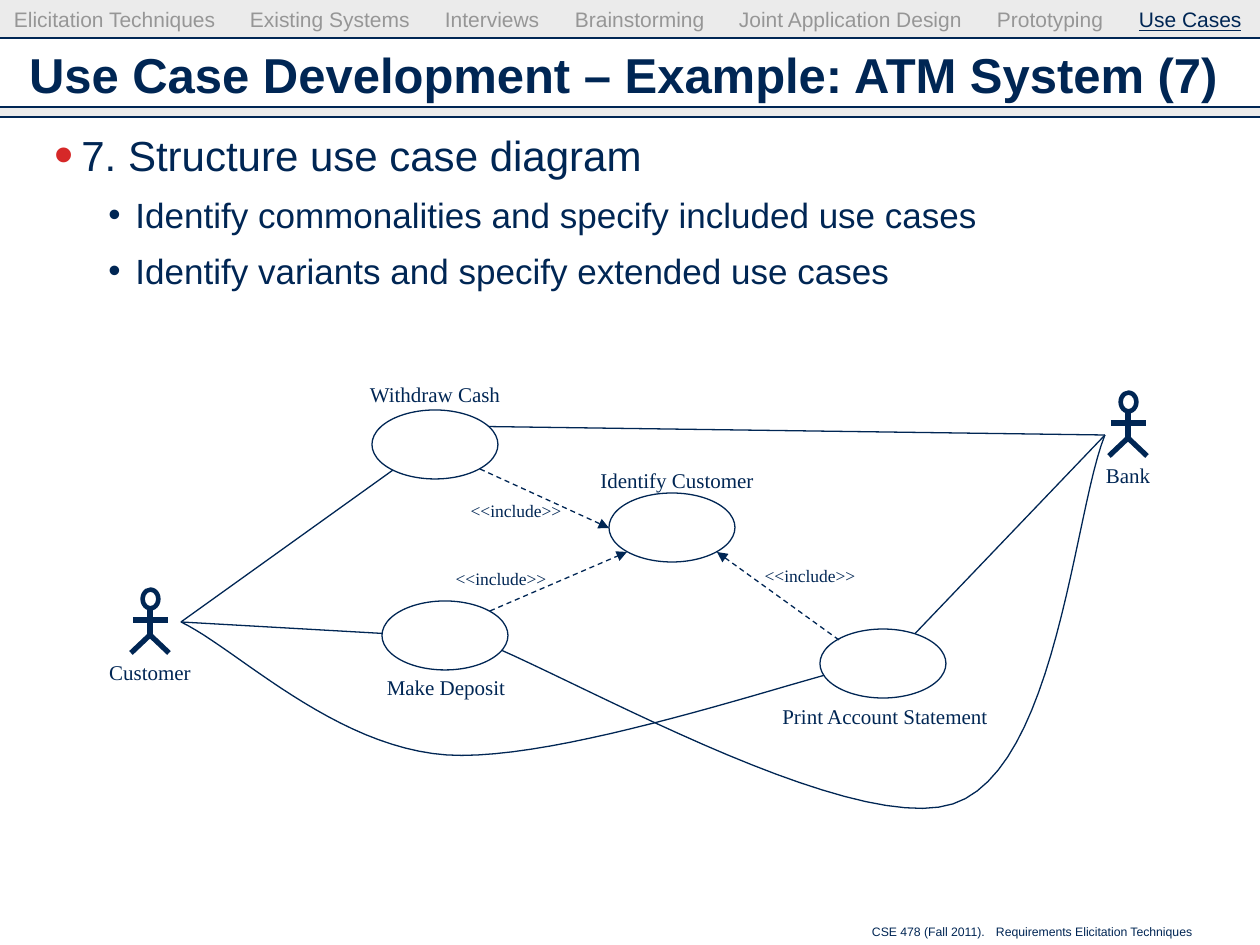
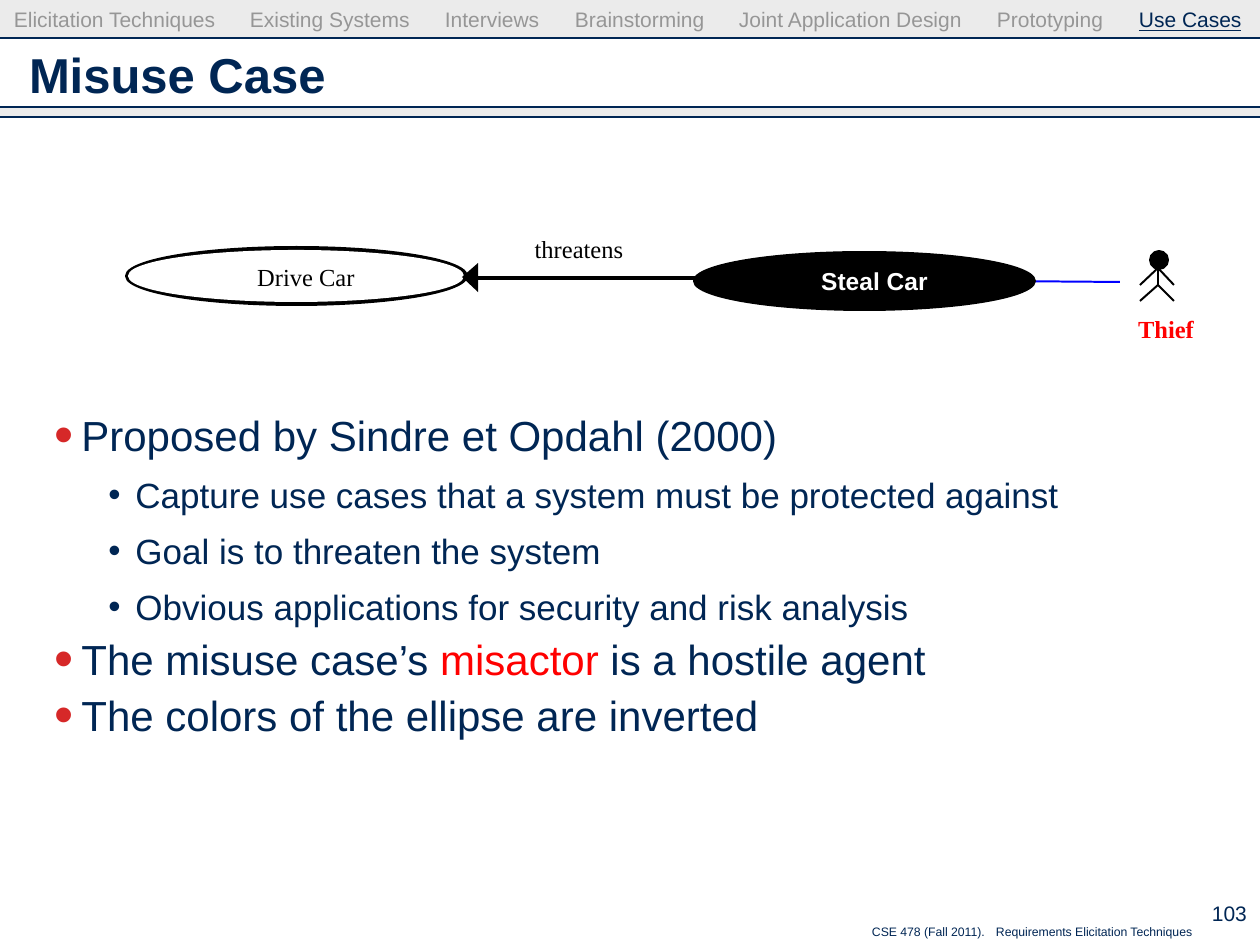
"""Build two lecture slides on use case diagrams and misuse cases."""
from dataclasses import dataclass
from typing import Any, NamedTuple

import lxml.etree
import pptx
import pptx.dml.color
import pptx.enum.dml
import pptx.enum.shapes
import pptx.enum.text
import pptx.oxml.ns
import pptx.util

PX = 914400 / 126
COLOURS = {"navy": "002654", "band": "CDCDCD", "grey": "969696", "bullet": "D62828",
           "red": "FF0000", "black": "000000", "white": "FFFFFF", "blue": "0000FF"}
SHAPES = pptx.enum.shapes.MSO_SHAPE
ALIGN = pptx.enum.text.PP_ALIGN
ANCHOR = pptx.enum.text.MSO_ANCHOR
FONTS = {
    "title": {"name": "Arial", "size": pptx.util.Pt(28), "bold": True},
    "point": {"name": "Arial", "size": pptx.util.Pt(24)},
    "subpoint": {"name": "Arial", "size": pptx.util.Pt(20)},
    "nav": {"name": "Arial", "size": pptx.util.Pt(12)},
    "current": {"name": "Arial", "size": pptx.util.Pt(12), "underline": True},
    "footer": {"name": "Arial", "size": pptx.util.Pt(7)},
    "diagram": {"name": "Times New Roman", "size": pptx.util.Pt(12)},
    "stereotype": {"name": "Times New Roman", "size": pptx.util.Pt(10)},
    "misuse": {"name": "Times New Roman", "size": pptx.util.Pt(14)},
    "thief": {"name": "Times New Roman", "size": pptx.util.Pt(14), "bold": True},
    "steal": {"name": "Arial", "size": pptx.util.Pt(14), "bold": True},
}
TOPICS = ["Elicitation Techniques", "Existing Systems", "Interviews", "Brainstorming",
          "Joint Application Design", "Prototyping"]
TOPIC_TABS = (236, 431, 561, 725, 983, 1125)


class Box(NamedTuple):
    """Left, top, width and height in px."""
    left: int
    top: int
    width: int
    height: int


class Point(NamedTuple):
    """A place in px."""
    x: int
    y: int


class Span(NamedTuple):
    """Text in one font and colour."""
    text: str
    font: str
    colour: str = "navy"


@dataclass(frozen=True)
class Level:
    """Indent and bullet of an outline level."""
    font: str
    margin: int
    bullet: str
    percent: int


@dataclass(frozen=True)
class Label:
    """A line of text in a box."""
    box: Box
    spans: tuple[Span, ...]
    align: Any = ALIGN.CENTER
    anchor: Any = ANCHOR.TOP
    inset: Point = Point(13, 6)
    fill: str = ""
    tabs: tuple[int, ...] = ()


@dataclass(frozen=True)
class Link:
    """A straight line, dashed with an arrowhead for an include."""
    start: Point
    end: Point
    colour: str = "navy"
    points: float = 0.75
    include: bool = False


@dataclass(frozen=True)
class UseCase:
    """An oval with its caption."""
    name: str
    at: Point
    caption: Box


LEVELS = {1: Level("point", 53, "bullet", 130), 2: Level("subpoint", 107, "navy", 100)}


def px(length: float) -> int:
    """Turn px into EMU."""
    return round(length * PX)


def emu(lengths: tuple[float, ...]) -> list[int]:
    """Turn several px lengths into EMU."""
    return [px(length) for length in lengths]


def rgb(colour: str) -> Any:
    """Look up a named colour."""
    return pptx.dml.color.RGBColor.from_string(COLOURS[colour])


def apply(target: Any, formats: dict[str, Any]) -> None:
    """Set each format value on the target."""
    for key, value in formats.items():
        setattr(target, key, value)


def child(parent: Any, tag: str, **attributes: str) -> Any:
    """Append a drawing element."""
    return lxml.etree.SubElement(parent, pptx.oxml.ns.qn(tag), attributes)


def paint(shape: Any, fill: str = "", line: str = "", points: float = 0.75) -> None:
    """Give a shape its fill and outline, without shadow."""
    shape.shadow.inherit = False
    if fill:
        shape.fill.solid()
        shape.fill.fore_color.rgb = rgb(fill)
    else:
        shape.fill.background()
    if line:
        shape.line.color.rgb = rgb(line)
        shape.line.width = pptx.util.Pt(points)
    else:
        shape.line.fill.background()


def add_preset(slide: Any, kind: Any, box: Box, fill: str = "", line: str = "",
               points: float = 0.75) -> Any:
    """Draw a preset shape."""
    shape = slide.shapes.add_shape(kind, *emu(box))
    paint(shape, fill, line, points)
    return shape


def add_outline(slide: Any, points: list[tuple[float, float]], closed: bool,
                fill: str = "", line: str = "") -> None:
    """Draw an outline through the points."""
    builder = slide.shapes.build_freeform(*emu(points[0]))
    builder.add_line_segments([emu(point) for point in points[1:]], close=closed)
    paint(builder.convert_to_shape(), fill, line)


def add_curve(slide: Any, points: list[Point], steps: int = 24) -> None:
    """Draw a chain of cubic curves."""
    places: list[tuple[float, float]] = [points[0]]
    for first in range(0, len(points) - 1, 3):
        controls = points[first:first + 4]
        for step in range(1, steps + 1):
            t = step / steps
            weights = ((1 - t) ** 3, 3 * t * (1 - t) ** 2, 3 * t ** 2 * (1 - t), t ** 3)
            places.append((sum(w * c.x for w, c in zip(weights, controls)),
                           sum(w * c.y for w, c in zip(weights, controls))))
    add_outline(slide, places, False, line="navy")


def add_link(slide: Any, link: Link) -> None:
    """Draw a straight line."""
    connector = slide.shapes.add_connector(
        pptx.enum.shapes.MSO_CONNECTOR.STRAIGHT, *emu(link.start + link.end))
    connector.line.color.rgb = rgb(link.colour)
    connector.line.width = pptx.util.Pt(link.points)
    properties = connector._element.spPr
    if link.include:
        connector.line.dash_style = pptx.enum.dml.MSO_LINE.DASH
        child(properties.find(pptx.oxml.ns.qn("a:ln")), "a:tailEnd", type="triangle")
    child(properties, "a:effectLst")


def write_spans(paragraph: Any, spans: tuple[Span, ...]) -> None:
    """Write the spans as runs."""
    for span in spans:
        run = paragraph.add_run()
        run.text = span.text
        apply(run.font, FONTS[span.font])
        run.font.color.rgb = rgb(span.colour)


def add_label(slide: Any, label: Label) -> None:
    """Draw a line of text, on a plate if it has a fill."""
    if label.fill:
        holder = add_preset(slide, SHAPES.RECTANGLE, label.box, label.fill)
    else:
        holder = slide.shapes.add_textbox(*emu(label.box))
    across, down = emu(label.inset)
    apply(holder.text_frame, {"word_wrap": False, "vertical_anchor": label.anchor,
                              "margin_left": across, "margin_right": across,
                              "margin_top": down, "margin_bottom": down})
    paragraph = holder.text_frame.paragraphs[0]
    paragraph.alignment = label.align
    if label.tabs:
        stops = child(paragraph._p.get_or_add_pPr(), "a:tabLst")
        for tab in label.tabs:
            child(stops, "a:tab", pos=str(px(tab)), algn="l")
    write_spans(paragraph, label.spans)


def add_outline_text(slide: Any, top: int, lines: list[tuple[int, tuple[Span, ...]]]) -> None:
    """Write the bulleted body."""
    frame = slide.shapes.add_textbox(*emu((16, top, 1227, 896 - top))).text_frame
    frame.word_wrap = True
    for index, (depth, spans) in enumerate(lines):
        level = LEVELS[depth]
        paragraph = frame.add_paragraph() if index else frame.paragraphs[0]
        apply(paragraph, {"level": depth - 1, "line_spacing": pptx.util.Pt(26),
                          "space_before": pptx.util.Pt(6 if index else 0)})
        properties = paragraph._p.get_or_add_pPr()
        indents = {"marL": px(level.margin), "indent": px(-27)}
        for key, value in indents.items():
            properties.set(key, str(value))
        child(child(properties, "a:buClr"), "a:srgbClr", val=COLOURS[level.bullet])
        child(properties, "a:buSzPct", val=str(level.percent * 1000))
        child(properties, "a:buFont", typeface="Arial")
        child(properties, "a:buChar", char="•")
        write_spans(paragraph, spans)


def line_of(depth: int, *parts: tuple[str, str] | str) -> tuple[int, tuple[Span, ...]]:
    """Make a body line from plain or coloured parts."""
    font = LEVELS[depth].font
    return depth, tuple(Span(part, font) if isinstance(part, str)
                        else Span(part[0], font, part[1]) for part in parts)


def start_slide(deck: Any, title: str) -> Any:
    """Add a slide with bands, rules, navigation, title and footer."""
    slide = deck.slides.add_slide(deck.slide_layouts[6])
    for band in (Box(0, 0, 1260, 38), Box(0, 107, 1260, 9)):
        shade = add_preset(slide, SHAPES.RECTANGLE, band, "band")
        tint = shade._element.spPr.find(".//" + pptx.oxml.ns.qn("a:srgbClr"))
        child(tint, "a:alpha", val="40000")
    for y in (107, 38, 117):
        add_link(slide, Link(Point(0, y), Point(1260, y)))
    for label in (
        Label(Box(859, 918, 395, 27),
              (Span("CSE 478 (Fall 2011).\tRequirements Elicitation Techniques", "footer"),),
              ALIGN.LEFT, tabs=(124,)),
        Label(Box(16, 32, 1227, 84), (Span(title, "title"),), ALIGN.LEFT, ANCHOR.MIDDLE),
        Label(Box(1, 7, 1259, 30),
              (Span("\t".join(TOPICS) + "\t", "nav", "grey"), Span("Use Cases", "current")),
              ALIGN.LEFT, inset=Point(13, 0), tabs=TOPIC_TABS),
    ):
        add_label(slide, label)
    return slide


def add_actor(slide: Any, name: str, x: int, top: int) -> None:
    """Draw a stick figure with its name."""
    head = add_preset(slide, SHAPES.DONUT, Box(x - 9, top, 19, 22), "navy", "navy")
    head.adjustments[0] = 0.17
    hip = Point(x, top + 47)
    for start, end in ((Point(x, top + 21), Point(x, top + 51)),
                       (Point(x - 17, top + 32), Point(x + 18, top + 32)),
                       (Point(x - 19, top + 65), hip), (Point(x + 19, top + 65), hip)):
        add_link(slide, Link(start, end, points=3))
    add_label(slide, Label(Box(x - 65, top + 66, 130, 38), (Span(name, "diagram"),)))


def build_atm(deck: Any) -> None:
    """Build the use case diagram slide."""
    slide = start_slide(deck, "Use Case Development – Example: ATM System (7)")
    add_outline_text(slide, 128, [
        line_of(1, "7. Structure use case diagram"),
        line_of(2, "Identify commonalities and specify included use cases"),
        line_of(2, "Identify variants and specify extended use cases")])
    customer, bank = Point(181, 622), Point(1105, 435)
    for start, end in ((Point(885, 665), bank), (Point(427, 636), customer),
                       (Point(428, 445), customer), (bank, Point(447, 426))):
        add_link(slide, Link(start, end))
    add_curve(slide, [Point(864, 665), Point(795, 680), Point(561, 762), Point(447, 755),
                      Point(334, 747), Point(237, 649), customer])
    add_curve(slide, [Point(474, 639), Point(554, 667), Point(847, 838), Point(953, 804),
                      Point(1057, 770), Point(1074, 512), bank])
    add_actor(slide, "Customer", 150, 588)
    add_actor(slide, "Bank", 1128, 391)
    for case in (UseCase("Make Deposit", Point(382, 601), Box(367, 669, 158, 38)),
                 UseCase("Print Account Statement", Point(820, 629), Box(762, 698, 246, 38)),
                 UseCase("Withdraw Cash", Point(372, 410), Box(350, 376, 170, 38)),
                 UseCase("Identify Customer", Point(609, 493), Box(580, 462, 194, 38))):
        add_label(slide, Label(case.caption, (Span(case.name, "diagram"),), fill="white"))
        add_preset(slide, SHAPES.OVAL, Box(*case.at, 126, 69), "white", "navy")
    for start, end, note in ((Point(480, 469), Point(609, 528), Point(446, 494)),
                             (Point(490, 611), Point(627, 552), Point(431, 562)),
                             (Point(839, 640), Point(717, 552), Point(740, 559))):
        add_link(slide, Link(start, end, include=True))
        add_label(slide, Label(Box(*note, 140, 34), (Span("<<include>>", "stereotype"),)))


def build_misuse(deck: Any) -> None:
    """Build the misuse case slide."""
    slide = start_slide(deck, "Misuse Case")
    add_label(slide, Label(Box(1172, 892, 88, 43), (Span("103", "nav"),),
                           ALIGN.RIGHT, ANCHOR.MIDDLE))
    add_outline_text(slide, 408, [
        line_of(1, "Proposed by Sindre et Opdahl (2000)"),
        line_of(2, "Capture use cases that a system must be protected against"),
        line_of(2, "Goal is to threaten the system"),
        line_of(2, "Obvious applications for security and risk analysis"),
        line_of(1, "The misuse case’s ", ("misactor", "red"), " is a hostile agent"),
        line_of(1, "The colors of the ellipse are inverted")])
    add_link(slide, Link(Point(833, 278), Point(418, 278), "black", 2.25))
    add_link(slide, Link(Point(864, 280), Point(1120, 282), "blue", 1.13))
    for oval, colour in ((Box(126, 247, 341, 58), "black"), (Box(129, 251, 334, 50), "white"),
                         (Box(694, 252, 341, 58), "black")):
        add_preset(slide, SHAPES.OVAL, oval, colour, colour, 1.13)
    neck, hip = Point(1158, 268), Point(1158, 285)
    for start, end in ((Point(1158, 251), hip), (neck, Point(1140, 285)),
                       (neck, Point(1174, 285)), (hip, Point(1140, 301)),
                       (hip, Point(1174, 301))):
        add_link(slide, Link(start, end, "black", 1.13))
    add_preset(slide, SHAPES.OVAL, Box(1150, 251, 18, 18), "black", "black", 1.13)
    add_outline(slide, [(478, 292), (462, 277), (478, 263)], True, "black")
    for box, span in ((Box(246, 262, 120, 29), Span("Drive Car", "misuse", "black")),
                      (Box(809, 266, 131, 29), Span("Steal Car", "steal", "white")),
                      (Box(1126, 314, 80, 29), Span("Thief", "thief", "red")),
                      (Box(524, 234, 110, 29), Span("threatens", "misuse", "black"))):
        add_label(slide, Label(box, (span,), inset=Point(0, 0)))


def main() -> None:
    """Build and save the deck."""
    deck = pptx.Presentation()
    apply(deck, {"slide_width": px(1260), "slide_height": px(945)})
    build_atm(deck)
    build_misuse(deck)
    deck.save("out.pptx")


if __name__ == "__main__":
    main()
